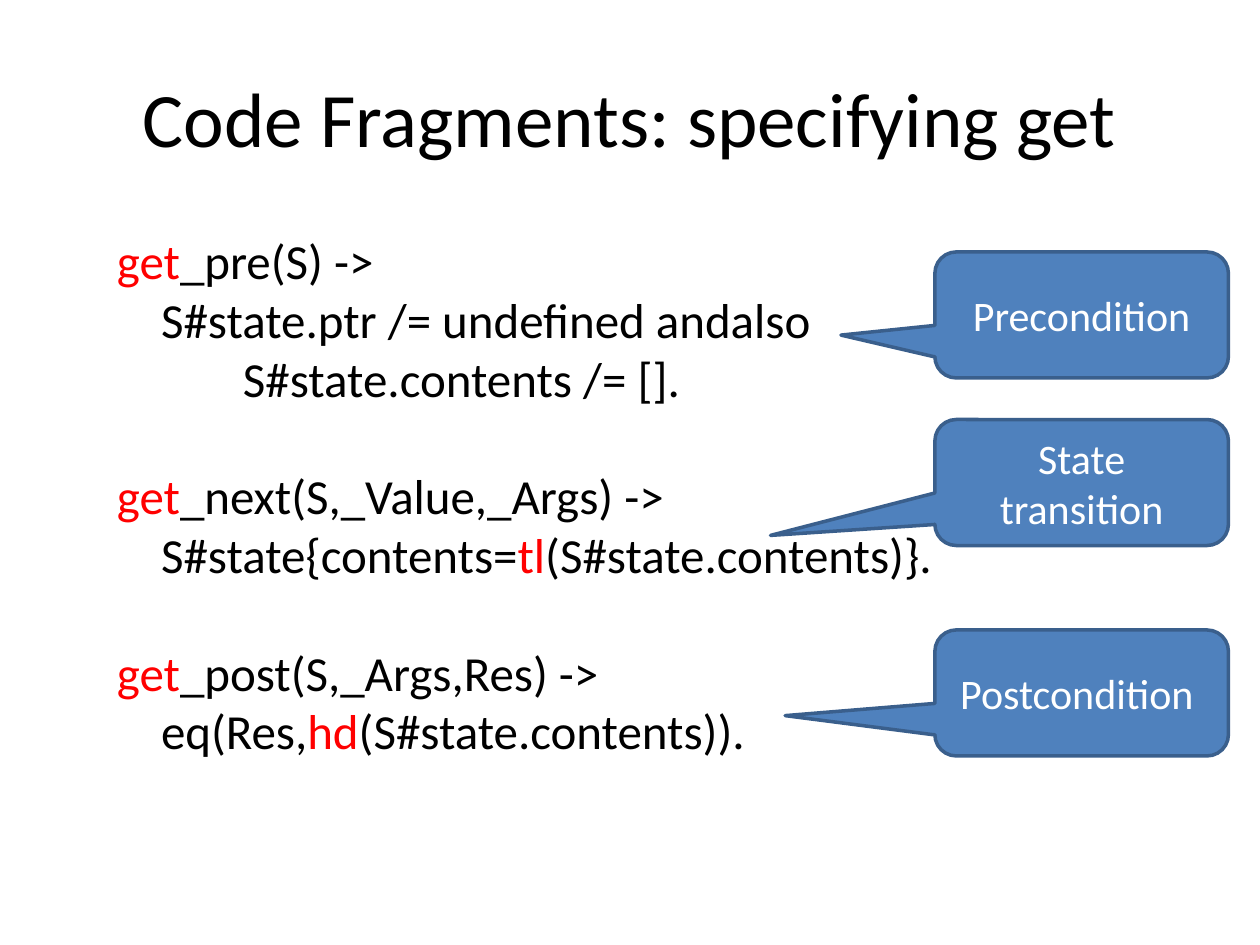
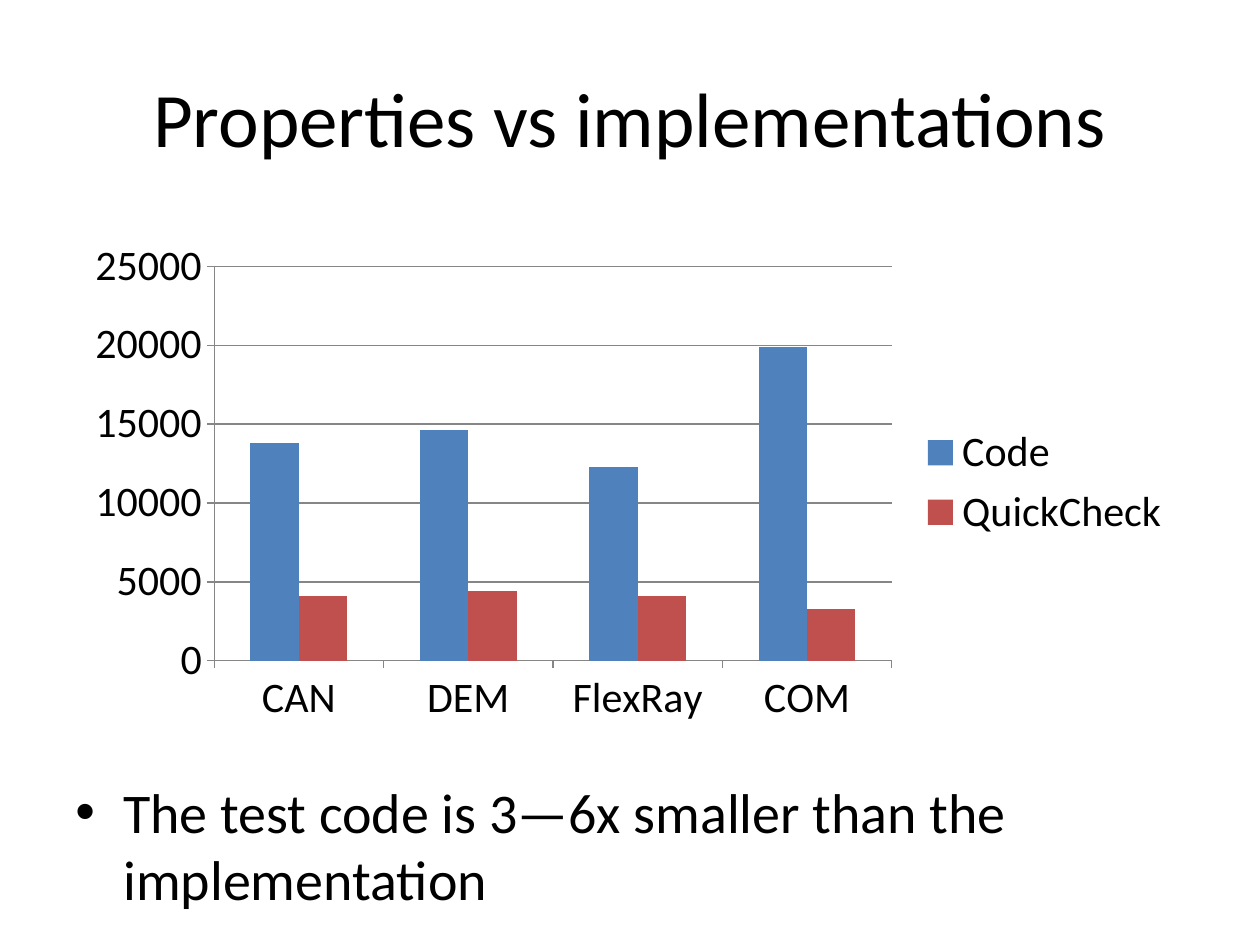
from pptx import Presentation
from pptx.chart.data import CategoryChartData
from pptx.dml.color import RGBColor
from pptx.enum.chart import XL_CHART_TYPE, XL_LEGEND_POSITION, XL_TICK_MARK
from pptx.enum.shapes import MSO_SHAPE
from pptx.enum.text import MSO_ANCHOR, PP_ALIGN
from pptx.util import Inches, Pt
from lxml import etree

CALLOUT = MSO_SHAPE.ROUNDED_RECTANGULAR_CALLOUT
CLUSTERED = XL_CHART_TYPE.COLUMN_CLUSTERED
LEGEND_RIGHT = XL_LEGEND_POSITION.RIGHT
TICK_OUTSIDE = XL_TICK_MARK.OUTSIDE
MIDDLE = MSO_ANCHOR.MIDDLE
TOP = MSO_ANCHOR.TOP
CENTER = PP_ALIGN.CENTER
LEFT = PP_ALIGN.LEFT

BLACK, WHITE, RED = "000000", "FFFFFF", "FF0000"
BLUE, DARK_BLUE, BRICK, GRAY = "4F81BD", "3A5F8C", "C0504D", "868686"

CODE_LINES = [
    (0, 0, [("get", RED), ("_pre(S) ->", BLACK)]),
    (0.35, 0, [("S#state.ptr /= undefined andalso", BLACK)]),
    (1, 0, [("S#state.contents /= [].", BLACK)]),
    (0, 33.6, [("get", RED), ("_next(S,_Value,_Args) ->", BLACK)]),
    (0.35, 0, [("S#state{contents=", BLACK), ("tl", RED), ("(S#state.contents)}.", BLACK)]),
    (0, 33.6, [("get", RED), ("_post(S,_Args,Res) ->", BLACK)]),
    (0.35, 0, [("eq(Res,", BLACK), ("hd", RED), ("(S#state.contents)).", BLACK)]),
]
CALLOUTS = [
    (2, "Precondition", (-0.82, 0.16)),
    (3.33, "State transition", (-1.06, 0.42)),
    (5, "Postcondition ", (-1.01, 0.18)),
]
MODULES = ["CAN", "DEM", "FlexRay", "COM"]
LINE_COUNTS = [
    ("Code", [13800, 14600, 12300, 19900], BLUE),
    ("QuickCheck", [4100, 4400, 4100, 3300], BRICK),
]


def color(value):
    return RGBColor.from_string(value)


def apply(target, values):
    for name, value in values.items():
        setattr(target, name, value)


class Deck:
    font_name = "Calibri"

    def __init__(self):
        self.presentation = Presentation()
        apply(self.presentation, {"slide_width": Inches(10), "slide_height": Inches(7.5)})
        self.slide = None

    def add_slide(self, title):
        self.slide = self.presentation.slides.add_slide(self.presentation.slide_layouts[6])
        frame = self.text_box((0.5, 0.3, 9, 1.25), MIDDLE)
        self.add_text(frame.paragraphs[0], [(title, BLACK)], 44, CENTER)

    def style_font(self, font, size, text_color):
        apply(font, {"name": self.font_name, "size": Pt(size)})
        font.color.rgb = color(text_color)

    def add_text(self, paragraph, pieces, size, alignment=LEFT):
        paragraph.alignment = alignment
        for text, text_color in pieces:
            run = paragraph.add_run()
            run.text = text
            self.style_font(run.font, size, text_color)

    def text_box(self, box, anchor=TOP):
        frame = self.slide.shapes.add_textbox(*map(Inches, box)).text_frame
        apply(frame, {"word_wrap": True, "vertical_anchor": anchor})
        return frame

    def code_block(self, box, lines):
        frame = self.text_box(box)
        for index, (indent, space, pieces) in enumerate(lines):
            paragraph = frame.add_paragraph() if index else frame.paragraphs[0]
            paragraph.space_before = Pt(space)
            paragraph._p.get_or_add_pPr().set("marL", str(Inches(indent)))
            self.add_text(paragraph, pieces, 28)

    def bullet(self, box, text):
        paragraph = self.text_box(box).paragraphs[0]
        self.add_text(paragraph, [(text, BLACK)], 32)
        properties = paragraph._p.get_or_add_pPr()
        properties.set("marL", str(Inches(0.38)))
        properties.set("indent", str(Inches(-0.38)))
        namespace = properties.nsmap["a"]
        etree.SubElement(properties, f"{{{namespace}}}buFont", typeface="Arial")
        etree.SubElement(properties, f"{{{namespace}}}buChar", char="•")

    def callout(self, box, text, pointer):
        shape = self.slide.shapes.add_shape(CALLOUT, *map(Inches, box))
        for index, value in enumerate((*pointer, 0.17)):
            shape.adjustments[index] = value
        shape.shadow.inherit = False
        shape.fill.solid()
        shape.fill.fore_color.rgb = color(BLUE)
        shape.line.color.rgb = color(DARK_BLUE)
        shape.line.width = Pt(2)
        apply(shape.text_frame, {"word_wrap": True, "vertical_anchor": MIDDLE})
        self.add_text(shape.text_frame.paragraphs[0], [(text, WHITE)], 24, CENTER)

    def column_chart(self, box, categories, series_rows):
        data = CategoryChartData()
        data.categories = categories
        for name, values, _ in series_rows:
            data.add_series(name, values)
        chart = self.slide.shapes.add_chart(CLUSTERED, *map(Inches, box), data).chart
        self.style_font(chart.font, 24, BLACK)
        apply(chart, {"has_title": False, "has_legend": True})
        apply(chart.legend, {"position": LEGEND_RIGHT, "include_in_layout": False})
        plot = chart.plots[0]
        apply(plot, {"gap_width": 150, "vary_by_categories": False})
        for series, (_, _, fill) in zip(plot.series, series_rows):
            series.format.fill.solid()
            series.format.fill.fore_color.rgb = color(fill)
        values_axis = chart.value_axis
        apply(values_axis, {"minimum_scale": 0, "maximum_scale": 25000,
                            "major_unit": 5000, "has_major_gridlines": True})
        for axis in (chart.category_axis, values_axis):
            axis.major_tick_mark = TICK_OUTSIDE
        for part in (chart.category_axis, values_axis, values_axis.major_gridlines):
            part.format.line.color.rgb = color(GRAY)
            part.format.line.width = Pt(0.75)


def main():
    deck = Deck()

    deck.add_slide("Code Fragments: specifying get")
    deck.code_block((0.83, 1.78, 8.5, 4.34), CODE_LINES)
    for top, text, pointer in CALLOUTS:
        deck.callout((7.42, top, 2.33, 1), text, pointer)

    deck.add_slide("Properties vs implementations")
    deck.bullet((0.5, 6.12, 9, 1.2), "The test code is 3—6x smaller than the implementation")
    deck.column_chart((0.58, 1.83, 8.83, 4), MODULES, LINE_COUNTS)

    deck.presentation.save("out.pptx")


if __name__ == "__main__":
    main()
